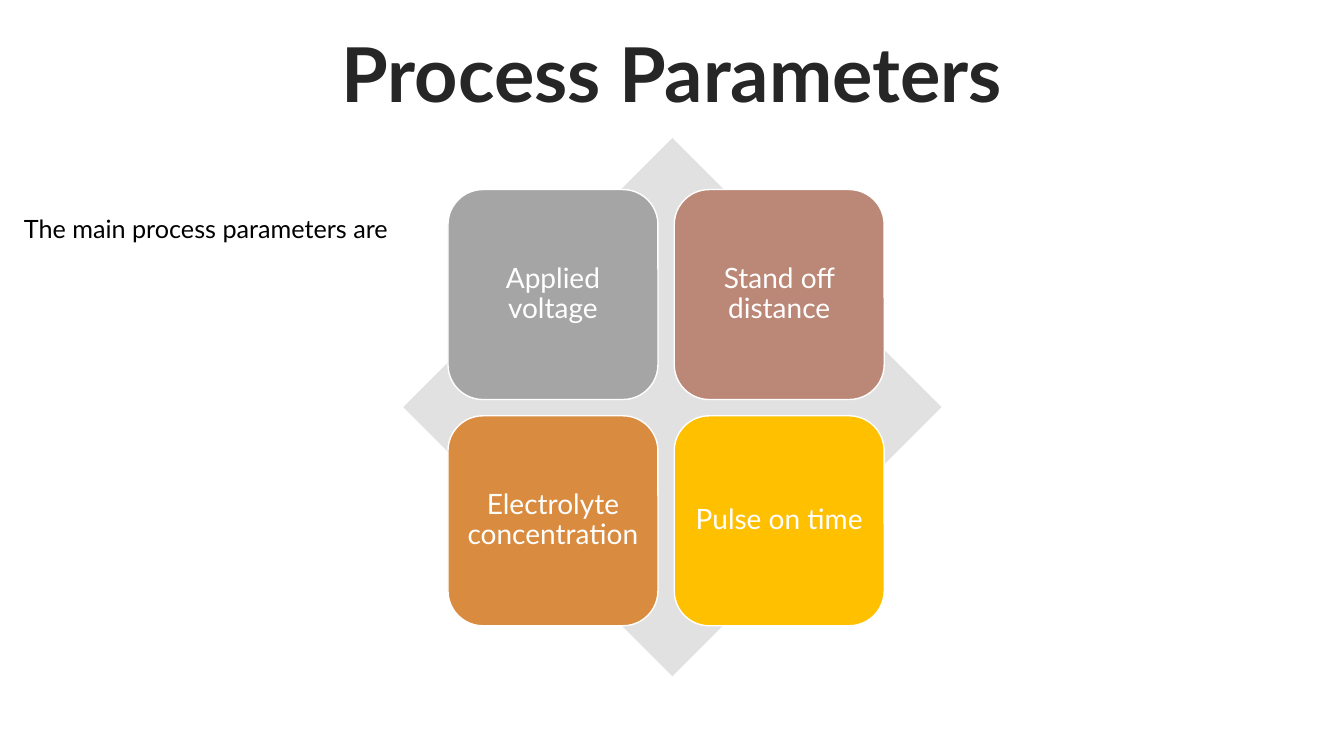
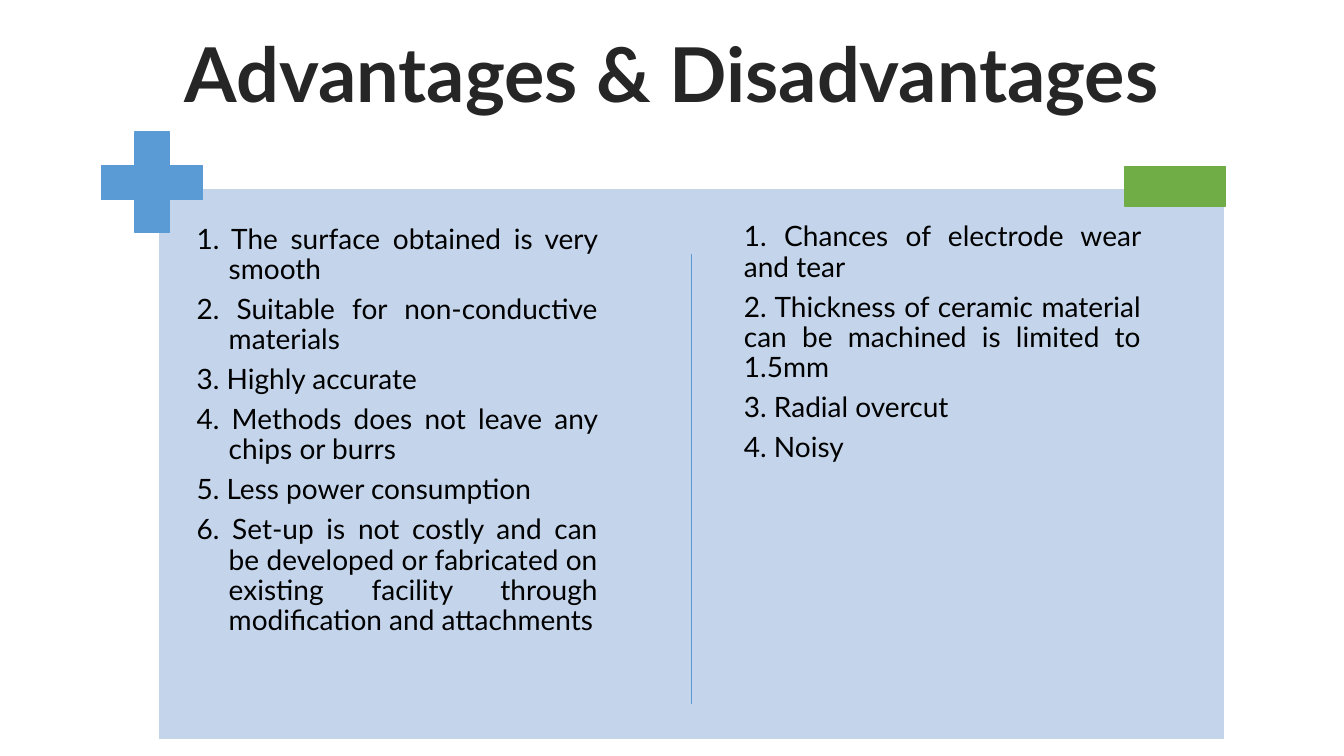
import pptx
import pptx.dml.color
import pptx.enum.shapes
import pptx.enum.text
import pptx.oxml.ns
import pptx.util
import lxml.etree

Pt = pptx.util.Pt
Align = pptx.enum.text.PP_ALIGN
Anchor = pptx.enum.text.MSO_ANCHOR
Shape = pptx.enum.shapes.MSO_SHAPE

WHITE, BLACK, INK = "FFFFFF", "000000", "262626"
BLUE, GREEN, PANEL, DIAMOND = "5B9BD5", "70AD47", "C4D5EB", "E1E1E1"


def color(value):
    return pptx.dml.color.RGBColor.from_string(value)


def write(para, text, size=20, ink=BLACK, bold=False, align=Align.LEFT,
          spacing=0.9, after=0, hanging=None):
    if hanging is not None:
        settings = para._p.get_or_add_pPr()
        settings.set("marL", str(Pt(hanging)))
        settings.set("indent", str(-Pt(hanging)))
        lxml.etree.SubElement(settings, pptx.oxml.ns.qn("a:buNone"))
    para.alignment = align
    para.line_spacing = spacing
    para.space_before = Pt(0)
    para.space_after = Pt(after)
    span = para.add_run()
    span.text = text
    span.font.name = "Lato"
    span.font.size = Pt(size)
    span.font.bold = bold
    span.font.color.rgb = color(ink)


class Deck:
    def __init__(self):
        self.deck = pptx.Presentation()
        self.deck.slide_width = Pt(960)
        self.deck.slide_height = Pt(540)
        self.page = None

    def add_page(self, layout, title):
        self.page = self.deck.slides.add_slide(self.deck.slide_layouts.get_by_name(layout))
        box = self.page.shapes.title
        self.place(box, 66, 3.6, 828, 104.4)
        frame = self.frame(box, Anchor.MIDDLE)
        write(frame.paragraphs[0], title, size=54, ink=INK, bold=True, align=Align.CENTER)

    def place(self, box, left, top, width, height):
        box.left, box.top = Pt(left), Pt(top)
        box.width, box.height = Pt(width), Pt(height)

    def frame(self, box, anchor, inset=None):
        frame = box.text_frame
        frame.word_wrap = True
        frame.auto_size = pptx.enum.text.MSO_AUTO_SIZE.NONE
        frame.vertical_anchor = anchor
        if inset is not None:
            frame.margin_left = frame.margin_right = Pt(inset)
            frame.margin_top = frame.margin_bottom = Pt(inset)
        return frame

    def shape(self, kind, left, top, width, height, fill, line=None, weight=1):
        shape = self.page.shapes.add_shape(kind, Pt(left), Pt(top), Pt(width), Pt(height))
        shape.shadow.inherit = False
        shape.fill.solid()
        shape.fill.fore_color.rgb = color(fill)
        if line:
            shape.line.color.rgb = color(line)
            shape.line.width = Pt(weight)
        else:
            shape.line.fill.background()
        return shape

    def tile(self, text, left, top, side, fill):
        tile = self.shape(Shape.ROUNDED_RECTANGLE, left, top, side, side, fill, WHITE)
        frame = self.frame(tile, Anchor.MIDDLE, 5.7)
        write(frame.paragraphs[0], text, ink=WHITE, align=Align.CENTER)

    def label(self, text, left, top, width, height):
        box = self.page.shapes.add_textbox(Pt(left), Pt(top), Pt(width), Pt(height))
        frame = self.frame(box, Anchor.TOP)
        write(frame.paragraphs[0], text, size=18, spacing=1)

    def item_list(self, index, items, left, top, width, height, hanging):
        box = self.page.placeholders[index]
        box.element.getparent().append(box.element)
        self.place(box, left, top, width, height)
        frame = self.frame(box, Anchor.TOP, 2.9)
        for position, item in enumerate(items):
            para = frame.add_paragraph() if position else frame.paragraphs[0]
            write(para, item, align=Align.JUSTIFY, after=7, hanging=hanging)

    def line(self, left, top, right, bottom, ink):
        line = self.page.shapes.add_connector(
            pptx.enum.shapes.MSO_CONNECTOR.STRAIGHT, Pt(left), Pt(top), Pt(right), Pt(bottom))
        line.line.color.rgb = color(ink)
        line.line.width = Pt(1)
        lxml.etree.SubElement(line.element.spPr, pptx.oxml.ns.qn("a:effectLst"))


def add_parameters(deck):
    deck.add_page("Title Only", "Process Parameters")
    deck.shape(Shape.DIAMOND, 288, 98.6, 384.5, 384.5, DIAMOND)
    tiles = [
        ("Applied voltage", "A5A5A5"),
        ("Stand off distance", "BB8776"),
        ("Electrolyte concentration", "D98B3F"),
        ("Pulse on time", "FFC000"),
    ]
    step = 161.6
    for position, (text, fill) in enumerate(tiles):
        row, column = divmod(position, 2)
        deck.tile(text, 320 + column * step, 135.4 + row * step, 150, fill)
    deck.label("The main process parameters are", 10, 149, 480, 29)


def add_comparison(deck):
    deck.add_page("Two Content", "Advantages & Disadvantages")
    deck.shape(Shape.RECTANGLE, 113, 134.6, 762, 393.8, PANEL, WHITE, 1.5)
    deck.item_list(1, [
        "1. The surface obtained is very smooth",
        "2. Suitable for non-conductive materials",
        "3. Highly accurate",
        "4. Methods does not leave any chips or burrs",
        "5. Less power consumption",
        "6. Set-up is not costly and can be developed or fabricated on existing "
        "facility through modification and attachments",
    ], 137.5, 157.7, 292.3, 337, 23)
    deck.item_list(2, [
        "1. Chances of electrode wear and tear",
        "2. Thickness of ceramic material can be machined is limited to 1.5mm",
        "3. Radial overcut",
        "4. Noisy",
    ], 528.5, 156.2, 289.4, 337, 0)
    plus = deck.shape(Shape.CROSS, 72.7, 94.3, 72, 72, BLUE, BLUE)
    plus.adjustments[0] = 0.33
    deck.shape(Shape.RECTANGLE, 803.5, 118.8, 72, 28.8, GREEN, GREEN)
    deck.line(494, 181.4, 494, 502.6, BLUE)


def main():
    deck = Deck()
    add_parameters(deck)
    add_comparison(deck)
    deck.deck.save("out.pptx")


if __name__ == "__main__":
    main()
